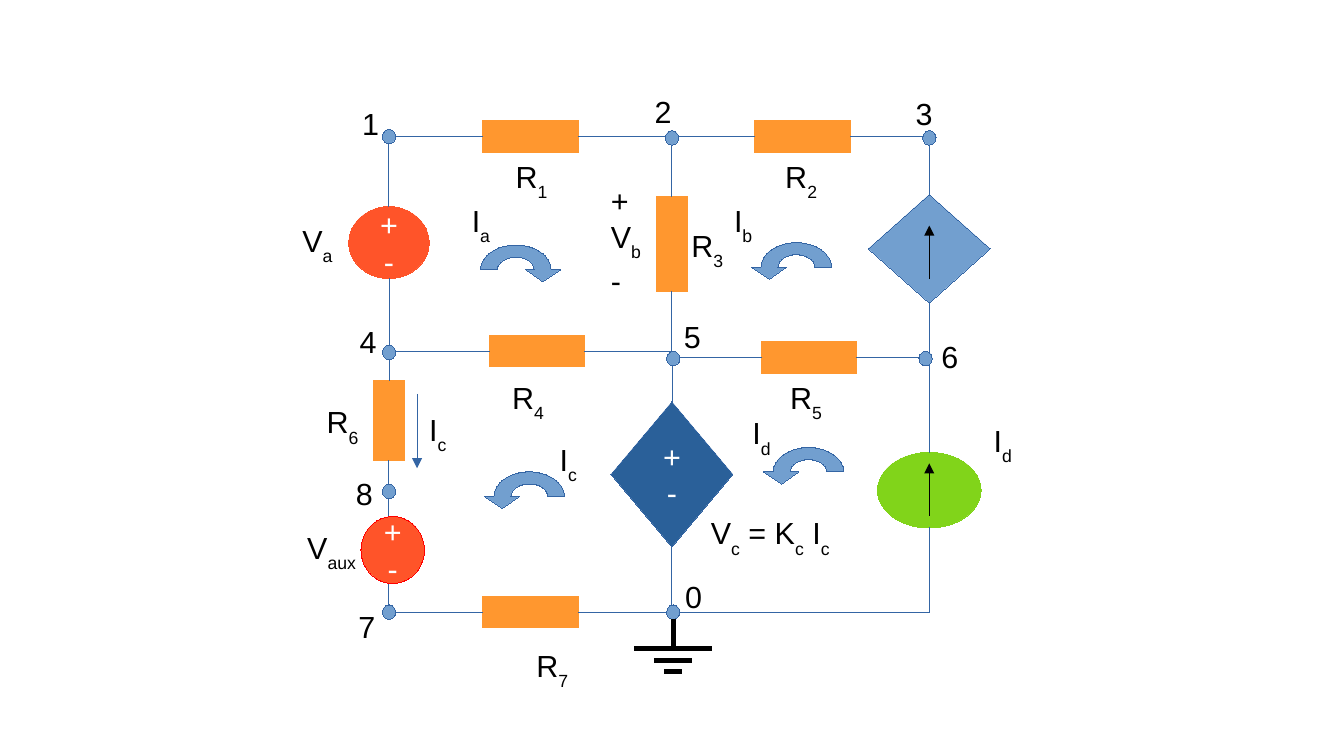
from lxml import etree
from pptx import Presentation
from pptx import util as u
from pptx.dml.color import RGBColor
from pptx.enum import shapes, text
from pptx.oxml.ns import qn

ORANGE = RGBColor(0xFF, 0x97, 0x2F)
RED = RGBColor(0xFF, 0x54, 0x29)
PURE_RED = RGBColor(0xFF, 0x00, 0x00)
GREEN = RGBColor(0x81, 0xD4, 0x1A)
SKY = RGBColor(0x72, 0x9F, 0xCF)
NAVY = RGBColor(0x2A, 0x60, 0x99)
BLUE = RGBColor(0x34, 0x65, 0xA4)
BLACK = RGBColor(0x00, 0x00, 0x00)
WHITE = RGBColor(0xFF, 0xFF, 0xFF)

# Circuit grid in inches: three columns, four wire rows
WIDTH, HEIGHT = 11.02, 6.2
LEFT, MIDDLE, RIGHT = 3.19, 5.51, 7.62
TOP, ROW_4, ROW_5, BOTTOM = 1.12, 2.88, 2.93, 5.02
UP, WEST, DOWN, EAST = range(4)
LONG, SHORT, R6_LONG = 0.78, 0.26, 0.66
NODE_SIZE = 0.11, 0.12
RECT, OVAL, DIAMOND = (shapes.MSO_SHAPE.RECTANGLE, shapes.MSO_SHAPE.OVAL,
                       shapes.MSO_SHAPE.DIAMOND)
STRAIGHT, ELBOW = shapes.MSO_CONNECTOR.STRAIGHT, shapes.MSO_CONNECTOR.ELBOW

# name: (centre x, centre y, width, height, label left, label top)
RESISTORS = {
    "R|1": (4.35, TOP, LONG, SHORT, 4.13, 1.25),
    "R|2": (6.58, TOP, LONG, SHORT, 6.34, 1.25),
    "R|3": (MIDDLE, 2.0, SHORT, LONG, 5.57, 1.81),
    "R|4": (4.4, ROW_4, LONG, SHORT, 4.1, 3.06),
    "R|5": (6.63, ROW_5, LONG, SHORT, 6.38, 3.06),
    "R|6": (LEFT, 3.45, SHORT, R6_LONG, 2.58, 3.26),
    "R|7": (4.35, BOTTOM, LONG, SHORT, 4.3, 5.26),
}
# name: (preset, centre x, centre y, width, height, fill, line, text)
SOURCES = {
    "Va": (OVAL, LEFT, 1.99, 0.66, 0.59, RED, RED, "+\n-"),
    "Vc": (DIAMOND, MIDDLE, 3.89, 1.0, 1.19, NAVY, BLUE, "+\n-"),
    "Ib": (DIAMOND, RIGHT, 2.04, 1.0, 0.89, SKY, BLUE, ""),
    "Id": (OVAL, RIGHT, 4.02, 0.85, 0.62, GREEN, GREEN, ""),
}
AUX_SOURCE = (OVAL, 3.22, 4.51, 0.52, 0.55, RED, PURE_RED, "+\n-")
# Wires with one corner: across from the first part, then up or down
CORNER_WIRES = [
    (("R|1", WEST), ("Va", UP)), (("R|4", WEST), ("Va", DOWN)),
    (("R|5", WEST), ("R|3", DOWN)), (("R|2", WEST), ("R|3", UP)),
    (("R|4", EAST), ("Vc", UP)), (("R|1", EAST), ("R|3", UP)),
    (("R|5", EAST), ("Id", UP)), (("R|2", EAST), ("Ib", UP)),
    (("R|7", EAST), ("Vc", DOWN)), (("R|4", WEST), ("R|6", UP)),
    (("R|7", WEST), ("R|6", DOWN)), ((MIDDLE, BOTTOM), ("Id", DOWN)),
]
# number, centre, then label offset from the centre
NODES = [
    ("1", LEFT, TOP, -0.32, -0.31), ("2", MIDDLE, 1.13, -0.24, -0.42),
    ("3", RIGHT, 1.13, -0.21, -0.4), ("4", LEFT, 2.89, -0.34, -0.29),
    ("5", 5.52, 2.94, -0.01, -0.38), ("6", 7.59, 2.94, 0.03, -0.22),
    ("7", LEFT, BOTTOM, -0.35, -0.08), ("8", LEFT, 4.03, -0.37, -0.18),
    ("0", 5.52, BOTTOM, 0, -0.33),
]
# A bar starts each subscript and ends it; then left, top, width
LABELS = [
    ("V|a", 2.38, 1.77, 0.52), ("V|aux", 2.42, 4.29, 0.65),
    ("+\nV|b\n-", 4.91, 1.44, 0.52), ("V|c| = K|c| I|c", 5.73, 4.17, 1.47),
    ("I|c", 3.42, 3.32, 0.4), ("I|d", 8.05, 3.41, 1.0),
    ("I|a", 3.77, 1.61, 0.52), ("I|b", 5.92, 1.61, 0.52),
    ("I|c", 4.49, 3.57, 0.52), ("I|d", 6.07, 3.35, 0.52),
]
# centre x, base y, direction of the head
MESH_ARROWS = [(4.23, 2.21, 1), (6.53, 2.19, -1), (6.63, 3.87, -1), (4.34, 4.07, -1)]
# Offsets from the base centre: inner arc, outer arc, head
ARROW_OUTLINE = [
    (0.15, 0), (0.15, -0.06), (0.08, -0.1), (0, -0.1),
    (-0.08, -0.1), (-0.15, -0.06), (-0.15, 0), (-0.29, 0),
    (-0.29, -0.11), (-0.16, -0.2), (0, -0.2),
    (0.16, -0.2), (0.29, -0.11), (0.29, 0),
    (0.37, 0), (0.22, 0.1), (0.08, 0),
]
CURVE_STARTS = (0, 3, 7, 10)     # line segments that open a curve of three points
CURRENT_ARROWS = [(RIGHT, 4.23, 3.8, BLACK), (RIGHT, 2.29, 1.85, BLACK),
                  (3.42, 3.23, 3.84, BLUE)]
GROUND_X = 5.52
GROUND_BARS = [(5.32, 0.64), (5.42, 0.31), (5.51, 0.15)]   # y, width

deck = Presentation()
deck.slide_width, deck.slide_height = u.Inches(WIDTH), u.Inches(HEIGHT)
page = deck.slides.add_slide(deck.slide_layouts[6])
parts = {}


def inches(*lengths):
    return [u.Inches(length) for length in lengths]


def write(frame, words, color, align):
    formats = {"margin_left": u.Inches(0.1), "margin_right": u.Inches(0.1),
               "margin_top": u.Inches(0.05), "margin_bottom": u.Inches(0.05),
               "word_wrap": False}
    for key, value in formats.items():
        setattr(frame, key, value)
    for row, line in enumerate(words.split("\n")):
        para = frame.add_paragraph() if row else frame.paragraphs[0]
        para.alignment = align
        for order, piece in enumerate(line.split("|")):
            span = para.add_run()
            span.text = piece
            for key, value in {"name": "Arial", "size": u.Pt(18)}.items():
                setattr(span.font, key, value)
            span.font.color.rgb = color
            if order % 2:
                span._r.get_or_add_rPr().set("baseline", "-33000")


def label(words, left, top, width=0.52):
    height = 0.52 + 0.33 * words.count("\n")
    box = page.shapes.add_textbox(*inches(left, top, width, height))
    write(box.text_frame, words, BLACK, text.PP_ALIGN.LEFT)
    box.text_frame.auto_size = text.MSO_AUTO_SIZE.SHAPE_TO_FIT_TEXT


def stroke(line, color, weight=0):
    line.color.rgb = color
    line._get_or_add_ln().set("w", str(int(u.Pt(weight))))   # 0 is a hairline


def paint(shape, fill, line):
    shape.shadow.inherit = False
    shape.fill.solid()
    shape.fill.fore_color.rgb = fill
    stroke(shape.line, line)


def part(preset, x, y, width, height, fill, line, words=""):
    shape = page.shapes.add_shape(
        preset, *inches(x - width / 2, y - height / 2, width, height))
    paint(shape, fill, line)
    if words:
        write(shape.text_frame, words, WHITE, text.PP_ALIGN.CENTER)
        shape.text_frame.vertical_anchor = text.MSO_ANCHOR.MIDDLE
    return shape


def connect(start, end, color=BLUE, weight=0, kind=STRAIGHT, arrow=False):
    ends = [(0, 0) if point[0] in parts else point for point in (start, end)]
    link = page.shapes.add_connector(kind, *inches(*ends[0], *ends[1]))
    attachments = ((start, link.begin_connect, "a:stCxn"), (end, link.end_connect, "a:endCxn"))
    for (name, side), attach, tag in attachments:
        if name in parts:
            attach(parts[name], side)
            if parts[name].auto_shape_type == OVAL:   # ovals have eight joints
                joint = next(link._element.iter(qn(tag)))
                joint.set("idx", str(side * 2))
    stroke(link.line, color, weight)
    if arrow:
        etree.SubElement(link.line._get_or_add_ln(), qn("a:tailEnd"), type="triangle")
    etree.SubElement(link._element.spPr, qn("a:effectLst"))
    return link


def mesh_arrow(x, y, way):
    outline = [inches(x + way * dx, y + dy) for dx, dy in ARROW_OUTLINE]
    builder = page.shapes.build_freeform(*outline[0])
    builder.add_line_segments(outline[1:], close=True)
    shape = builder.convert_to_shape()
    segments = list(shape._element.iter(qn("a:lnTo")))
    for first in CURVE_STARTS:
        curve = etree.Element(qn("a:cubicBezTo"))
        segments[first].addprevious(curve)
        for segment in segments[first:first + 3]:
            curve.append(segment[0])
            segment.getparent().remove(segment)
    paint(shape, SKY, BLUE)


# Resistors and sources
for name, (x, y, width, height, left, top) in RESISTORS.items():
    parts[name] = part(RECT, x, y, width, height, ORANGE, ORANGE)
    label(name, left, top)
for name, source in SOURCES.items():
    parts[name] = part(*source)

# Wires, then the source that sits on one
for start, end in CORNER_WIRES:
    wire = connect(start, end, kind=ELBOW)
    wire._element.spPr.find(qn("a:prstGeom")).set("prst", "bentConnector2")
connect(("R|4", EAST), ("R|5", WEST), kind=ELBOW)
connect(("Ib", DOWN), ("Id", UP))
part(*AUX_SOURCE)

# Numbered nodes
for number, x, y, dx, dy in NODES:
    part(OVAL, x, y, *NODE_SIZE, SKY, BLUE)
    label(number, x + dx, y + dy)

# Voltages, currents and their arrows
for entry in LABELS:
    label(*entry)
for x, tail, head, color in CURRENT_ARROWS:
    connect((x, tail), (x, head), color, arrow=True)
for arrow in MESH_ARROWS:
    mesh_arrow(*arrow)

# Ground
connect((GROUND_X, 5.08), (GROUND_X, GROUND_BARS[0][0]), BLACK, 2.83)
for y, width in GROUND_BARS:
    connect((GROUND_X - width / 2, y), (GROUND_X + width / 2, y), BLACK, 2.83)

deck.save("out.pptx")
